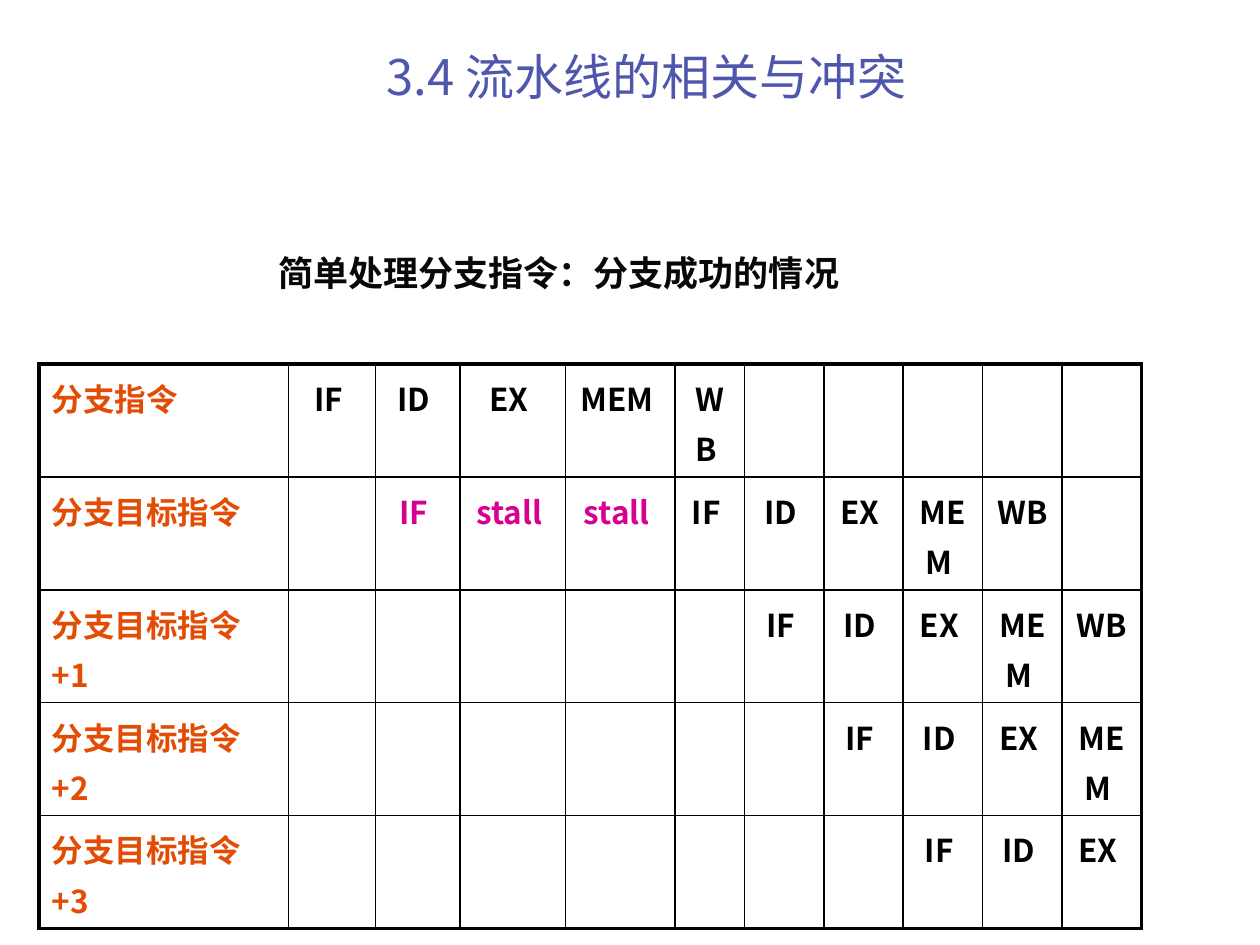
from lxml.etree import SubElement
from pptx import Presentation
from pptx.dml.color import RGBColor
from pptx.enum.text import MSO_ANCHOR, MSO_AUTO_SIZE, PP_ALIGN
from pptx.oxml.ns import qn
from pptx.util import Inches, Pt

COLORS = {"title": "4F56AD", "heading": "080808", "label": "E24C05",
          "stage": "000000", "stalled": "D60093", "border": "000000"}
CJK = "Noto Sans CJK SC"

LABELS = ["分支指令"] + ["分支目标指令" + n for n in ("", "+1", "+2", "+3")]
STAGES = ["IF", "ID", "EX", "MEM", "WB"]
STALLED = ["IF", "stall", "stall"]
COL_WIDTHS = [1.98, 0.69, 0.67, 0.84, 0.87, 0.55] + [0.63] * 5
ROW_HEIGHT = 0.46
THIN, THICK = 1, 2.25


def write(tf, text, size=18, color="stage", font=CJK, bold=True,
          align=PP_ALIGN.LEFT, before=0, spacing=None):
    p = tf.paragraphs[0]
    p.alignment = align
    p.space_before = Pt(before)
    if spacing:
        p.line_spacing = spacing
    r = p.add_run()
    r.text = text
    r.font.size = Pt(size)
    r.font.bold = bold
    r.font.name = font
    r.font.color.rgb = RGBColor.from_string(COLORS[color])
    SubElement(r.font._element, qn("a:ea"), typeface=font)


def set_borders(cell, **widths):
    tc_pr = cell._tc.get_or_add_tcPr()
    for side in "LRTB":
        ln = SubElement(tc_pr, qn("a:ln" + side), w=str(Pt(widths[side])))
        fill = SubElement(ln, qn("a:solidFill"))
        SubElement(fill, qn("a:srgbClr"), val=COLORS["border"])


def add_title(s, x, y, w, h):
    sp = s.shapes.title
    sp.left, sp.top, sp.width, sp.height = map(Inches, (x, y, w, h))
    tf = sp.text_frame
    tf.auto_size = MSO_AUTO_SIZE.NONE
    tf.vertical_anchor = MSO_ANCHOR.BOTTOM
    write(tf, "3.4 流水线的相关与冲突", size=28, color="title", bold=False,
          align=PP_ALIGN.CENTER)


def add_heading(s, x, y, w, h):
    tf = s.shapes.add_textbox(*map(Inches, (x, y, w, h))).text_frame
    tf.word_wrap = True
    tf.auto_size = MSO_AUTO_SIZE.SHAPE_TO_FIT_TEXT
    write(tf, "简单处理分支指令：分支成功的情况", size=20, color="heading",
          font="Calibri", before=10)


def pipeline_stages(row):
    """Map each column of a row to its stage and colour."""
    start = 1 if row == 0 else row + 4
    cells = {start + i: (stage, "stage") for i, stage in enumerate(STAGES)}
    if row == 1:
        cells.update({2 + i: (stage, "stalled") for i, stage in enumerate(STALLED)})
    return cells


def add_pipeline_table(s, x, y):
    rows, cols = len(LABELS), len(COL_WIDTHS)
    frame = s.shapes.add_table(rows, cols, Inches(x), Inches(y),
                               Inches(sum(COL_WIDTHS)), Inches(ROW_HEIGHT * rows))
    table = frame.table
    table.first_row = table.horz_banding = False
    for column, width in zip(table.columns, COL_WIDTHS):
        column.width = Inches(width)
    for i, label in enumerate(LABELS):
        table.rows[i].height = Inches(ROW_HEIGHT)
        stages = pipeline_stages(i)
        for j in range(cols):
            cell = table.cell(i, j)
            # Thick outer frame, thin inner grid
            set_borders(cell, L=THICK if j == 0 else THIN,
                        R=THICK if j == cols - 1 else THIN,
                        T=THICK if i == 0 else THIN,
                        B=THICK if i == rows - 1 else THIN)
            cell.fill.background()
            if j == 0:
                write(cell.text_frame, label, color="label", before=3.6, spacing=1.1)
            elif j in stages:
                stage, color = stages[j]
                write(cell.text_frame, stage + " ", color=color,
                      align=PP_ALIGN.CENTER, before=3.6, spacing=1.1)


def main():
    prs = Presentation()
    prs.slide_width, prs.slide_height = Inches(10), Inches(7.5)
    s = prs.slides.add_slide(prs.slide_layouts[5])
    # Pipeline timing table
    add_pipeline_table(s, 0.31, 2.89)
    # Heading and title
    add_heading(s, 2.11, 1.95, 6.06, 0.5)
    add_title(s, 2.34, 0.47, 5.58, 0.42)
    prs.save("out.pptx")


if __name__ == "__main__":
    main()
